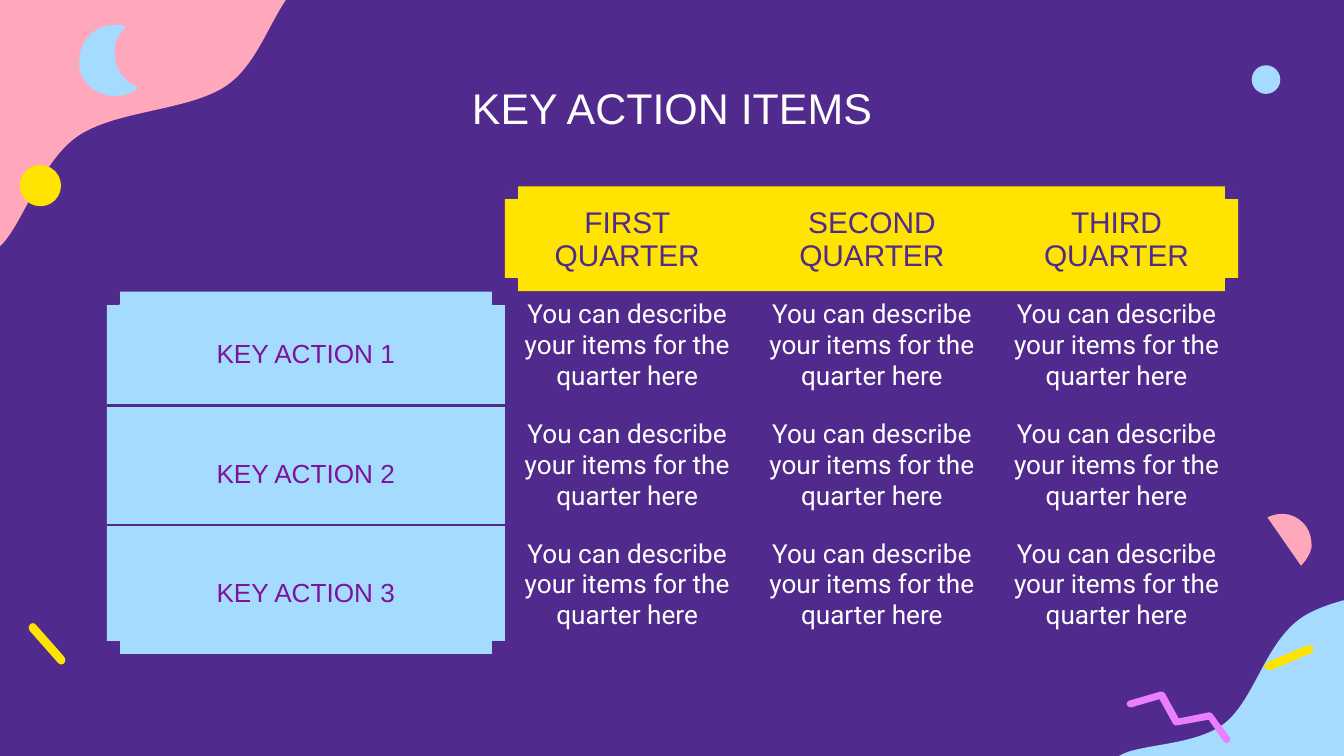
from lxml.etree import SubElement
from pptx import Presentation
from pptx.dml.color import RGBColor
from pptx.enum.shapes import MSO_SHAPE
from pptx.enum.text import MSO_ANCHOR, PP_ALIGN
from pptx.oxml import parse_xml
from pptx.oxml.ns import nsdecls, qn
from pptx.util import Pt

COLORS = {
    "purple": "512A8E", "pink": "FFA7BB", "blue": "A5DBFF", "yellow": "FFE400",
    "orchid": "EB7DFF", "plum": "7D1399", "white": "FFFFFF",
}
NO_GRID_STYLE = "{2D5ABB26-0587-4C30-8999-92F81FD0307C}"
INSET = 7.2
NOTCH = 6.6

BLOB = [
    (-28.8, 137.5),
    (-25.9, 168.5, -12.2, 143.3, -0.7, 132.5),
    (11.5, 122.4, 20.9, 87.8, 41, 73.4),
    (61.2, 59, 100.1, 59.8, 121, 46.1),
    (141.1, 32.4, 146.2, 2.2, 162.7, -10.8),
    (178.6, -23, 208.8, -21.6, 218.9, -28.1),
    (229.7, -35.3, 264.2, -46.8, 224.6, -51.1),
    (185.8, -54.7, 25.2, -84.2, -16.6, -53.3),
    (-59, -21.6, -31.7, 106.6, -28.8, 137.5),
]
MOON = [
    (43.2, 27.4),
    (44.6, 20.9, 50.4, 15.1, 57.6, 13.7),
    (61.2, 13, 64.8, 13, 67.7, 14.4),
    (64.8, 16.6, 62.6, 20.2, 61.9, 23.8),
    (61.2, 26.6, 61.2, 29.5, 61.9, 32.4),
    (63.4, 39.6, 68.4, 44.6, 74.2, 46.8),
    (72, 49, 69.1, 50.4, 65.5, 51.1),
    (55.4, 53.3, 44.6, 46.8, 42.5, 36.7),
    (42.5, 33.1, 42.5, 30.2, 43.2, 27.4),
]
HALF_DISC = [
    (702.7, 293),
    (702.7, 289.4, 702, 285.1, 699.8, 282.2),
    (694.8, 275, 686.2, 273.6, 679, 277.2),
    (697, 303.1),
    (699.8, 300.2, 702, 296.6, 702.7, 293),
]
ZIGZAG = [
    (649.4, 382.3), (649, 381.8, 648.5, 381.5, 647.9, 381.6),
    (631.5, 384.9), (624.2, 371.7),
    (623.8, 370.8, 622.9, 370.4, 621.9, 370.5),
    (604.9, 375.4),
    (602.9, 376, 603.3, 379.1, 606, 379),
    (621.2, 374.6), (628.5, 387.8),
    (628.9, 388.5, 629.6, 388.8, 630.3, 388.7),
    (647.5, 385.6), (655.8, 397.5),
    (657.3, 399.2, 660, 397.3, 658.9, 395.3),
    (649.4, 382.3),
]
BAR = [
    (1.7, -11.7), (-6, 10),
    (-6.6, 11.7, -5.7, 12.8, -4.9, 13),
    (-3.7, 13.4, -2.3, 12.9, -1.7, 11.7),
    (6, -10),
    (6.6, -11.7, 5.7, -12.8, 4.9, -13),
    (3.7, -13.4, 2.3, -12.9, 1.7, -11.7),
]


def color(name):
    """Return the named colour."""
    return RGBColor.from_string(COLORS[name])


def flatten(outline, steps=16):
    """Turn line nodes and cubic curve nodes into points that give the extent."""
    points = [outline[0]]
    for node in outline[1:]:
        if len(node) == 2:
            points.append(node)
            continue
        controls = [points[-1], node[0:2], node[2:4], node[4:6]]
        for step in range(1, steps + 1):
            t = step / steps
            weights = ((1 - t) ** 3, 3 * t * (1 - t) ** 2, 3 * t * t * (1 - t), t ** 3)
            points.append(tuple(sum(w * c[axis] for w, c in zip(weights, controls))
                                for axis in (0, 1)))
    return points


def paint(shape, fill):
    """Give a shape a plain fill without line or shadow."""
    shape.shadow.inherit = False
    shape.fill.solid()
    shape.fill.fore_color.rgb = color(fill)
    shape.line.fill.background()


def add_freeform(page, outline, fill, dx=0, dy=0, rotation=0):
    """Add a filled outline of lines and true curves, moved and rotated."""
    points = [(Pt(x), Pt(y)) for x, y in flatten(outline)]
    builder = page.shapes.build_freeform(*points[0], scale=1.0)
    builder.add_line_segments(points[1:], close=True)
    shape = builder.convert_to_shape()
    trace = next(shape._element.spPr.iter(qn("a:path")))
    for child in list(trace):
        trace.remove(child)
    for index, node in enumerate(outline):
        tag = "a:moveTo" if index == 0 else "a:lnTo" if len(node) == 2 else "a:cubicBezTo"
        segment = SubElement(trace, qn(tag))
        for x, y in zip(node[::2], node[1::2]):
            SubElement(segment, qn("a:pt"),
                       x=str(Pt(x) - shape.left), y=str(Pt(y) - shape.top))
    SubElement(trace, qn("a:close"))
    shape.left += Pt(dx)
    shape.top += Pt(dy)
    shape.rotation = rotation
    paint(shape, fill)


def add_block(shapes, kind, left, top, width, height, fill):
    """Add a filled preset shape."""
    block = shapes.add_shape(kind, Pt(left), Pt(top), Pt(width), Pt(height))
    paint(block, fill)
    return block


def add_ticket(page, left, top, width, height, fill):
    """Add a panel with a square notch at each corner."""
    shapes = page.shapes.add_group_shape().shapes
    add_block(shapes, MSO_SHAPE.RECTANGLE, left, top, width, height, fill)
    for x in (left, left + width - NOTCH):
        for y in (top, top + height - NOTCH):
            notch = add_block(shapes, MSO_SHAPE.RECTANGLE, x, y, NOTCH, NOTCH, "purple")
            notch.line.color.rgb = color("purple")
            notch.line.width = Pt(0.75)


def write(frame, text, size=14, font="Arial", ink="white"):
    """Write one centred paragraph in a text frame."""
    para = frame.paragraphs[0]
    para.alignment = PP_ALIGN.CENTER
    span = para.add_run()
    span.text = text
    span.font.size = Pt(size)
    span.font.name = font
    span.font.color.rgb = color(ink)


def fill_cell(cell, text, anchor=MSO_ANCHOR.MIDDLE, top=INSET, **style):
    """Set the margins, anchor and text of a table cell."""
    cell.margin_left = cell.margin_right = cell.margin_bottom = Pt(INSET)
    cell.margin_top = Pt(top)
    cell.vertical_anchor = anchor
    write(cell.text_frame, text, **style)


def rule_cell(cell, sides):
    """Draw purple rules on the given sides of a cell."""
    for index, side in enumerate(sides):
        cell._tc.get_or_add_tcPr().insert(index, parse_xml(
            f'<a:ln{side} {nsdecls("a")} w="{Pt(1.5)}"><a:solidFill>'
            f'<a:srgbClr val="{COLORS["purple"]}"/></a:solidFill></a:ln{side}>'))


def add_plan(page):
    """Add the table of actions by quarter."""
    widths = [213.3, 131.1, 131.1, 131.1]
    table = page.shapes.add_table(
        4, 4, Pt(57.2), Pt(99.6), Pt(sum(widths)), Pt(4 * 52)).table
    table.first_row = table.horz_banding = False
    table._tbl.tblPr.find(qn("a:tableStyleId")).text = NO_GRID_STYLE
    for column, width in zip(table.columns, widths):
        column.width = Pt(width)
    for row in table.rows:
        row.height = Pt(52)
    for cell in table.iter_cells():
        cell.fill.background()
    for column, quarter in enumerate(("FIRST", "SECOND", "THIRD"), 1):
        fill_cell(table.cell(0, column), f"{quarter} QUARTER", top=10.8, size=16, ink="purple")
    for row, sides in enumerate(("B", "TB", "T"), 1):
        action = table.cell(row, 0)
        fill_cell(action, f"KEY ACTION {row}", anchor=MSO_ANCHOR.TOP, top=28.8, ink="plum")
        rule_cell(action, sides)
        for column in range(1, 4):
            fill_cell(table.cell(row, column),
                      "You can describe your items for the quarter here", font="Roboto")


def add_title(page, text):
    """Add the slide title."""
    box = page.shapes.add_textbox(Pt(56.7), Pt(34.8), Pt(607), Pt(45.4))
    frame = box.text_frame
    frame.word_wrap = True
    frame.vertical_anchor = MSO_ANCHOR.MIDDLE
    frame.margin_top = frame.margin_bottom = Pt(INSET)
    write(frame, text, size=23)


def main():
    """Build the slide and save the deck."""
    deck = Presentation()
    deck.slide_width, deck.slide_height = Pt(720), Pt(405)
    page = deck.slides.add_slide(deck.slide_layouts[6])
    page.background.fill.solid()
    page.background.fill.fore_color.rgb = color("purple")
    add_freeform(page, BLOB, "pink")
    add_freeform(page, BLOB, "blue", dx=615.6, dy=291.6, rotation=180)
    add_block(page.shapes, MSO_SHAPE.OVAL, 10.6, 88.4, 22.1, 22.1, "yellow")
    add_freeform(page, ZIGZAG, "orchid")
    add_freeform(page, HALF_DISC, "pink")
    add_freeform(page, BAR, "yellow", dx=690.6, dy=352.4, rotation=47.6)
    add_freeform(page, MOON, "blue")
    add_freeform(page, BAR, "yellow", dx=25.2, dy=344.9, rotation=299)
    add_block(page.shapes, MSO_SHAPE.OVAL, 670.6, 35, 15.3, 15.3, "blue")
    add_ticket(page, 57.2, 156.2, 213.3, 194.2, "blue")
    add_ticket(page, 270.5, 99.8, 392.8, 56.2, "yellow")
    add_plan(page)
    add_title(page, "KEY ACTION ITEMS")
    deck.save("out.pptx")


if __name__ == "__main__":
    main()
